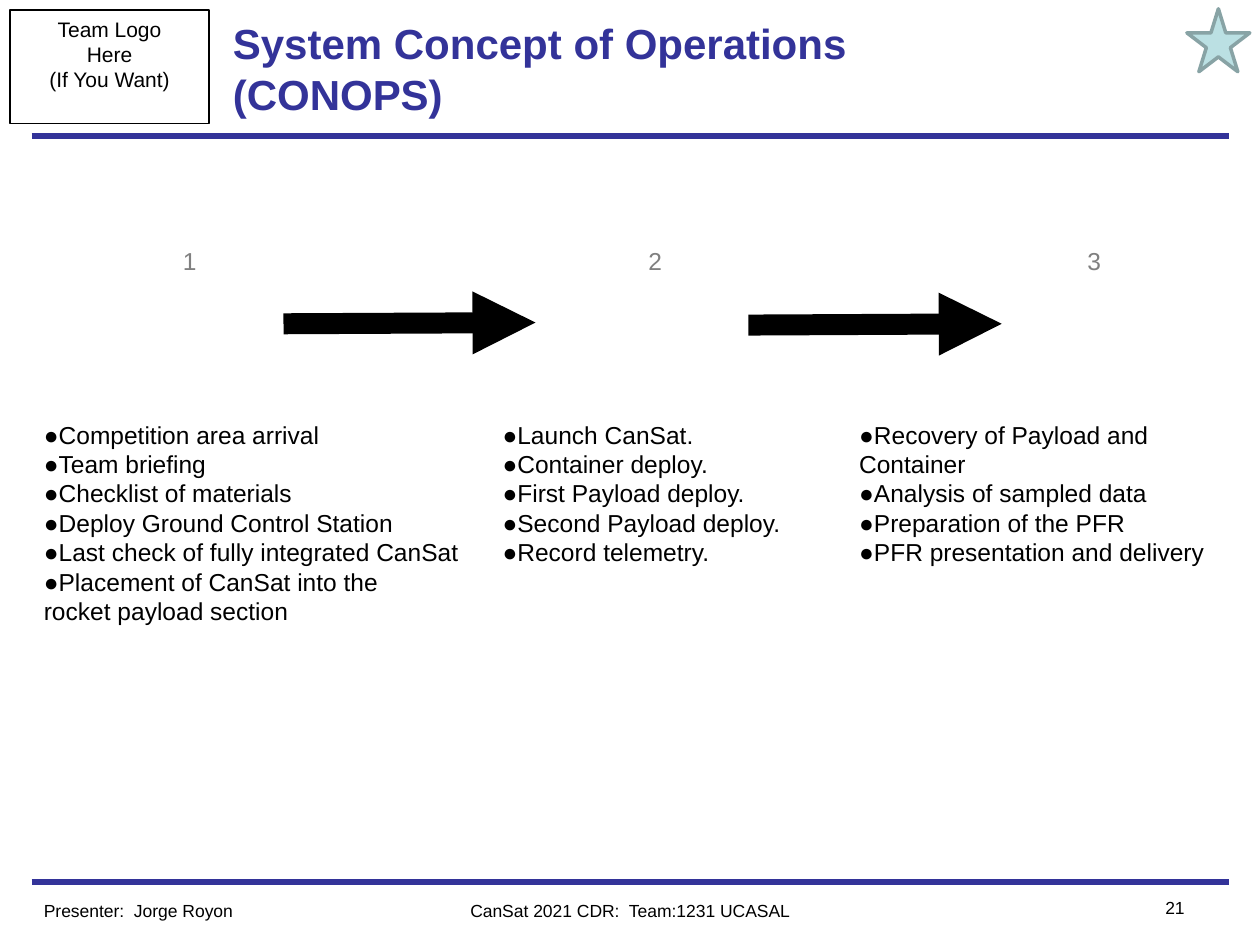
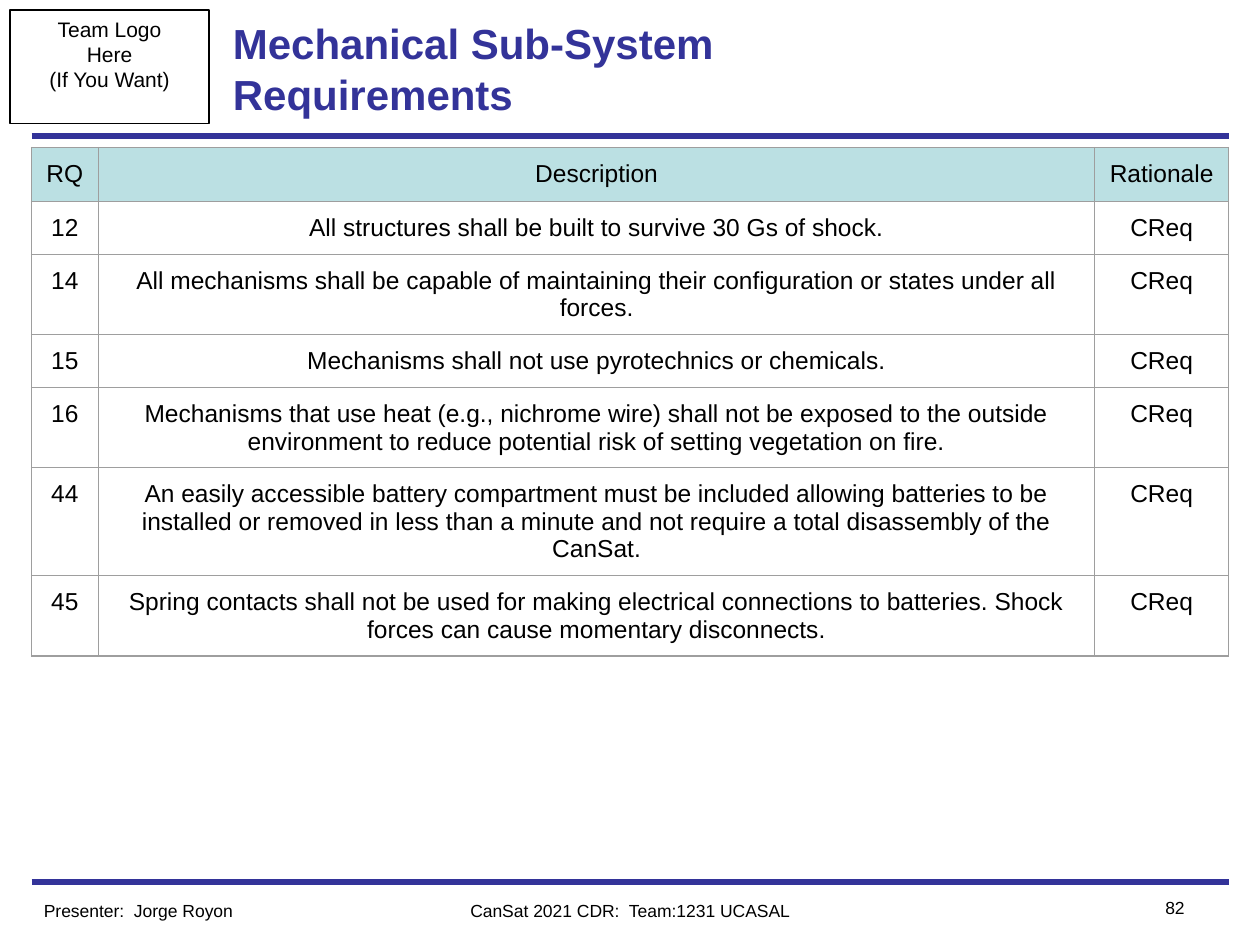
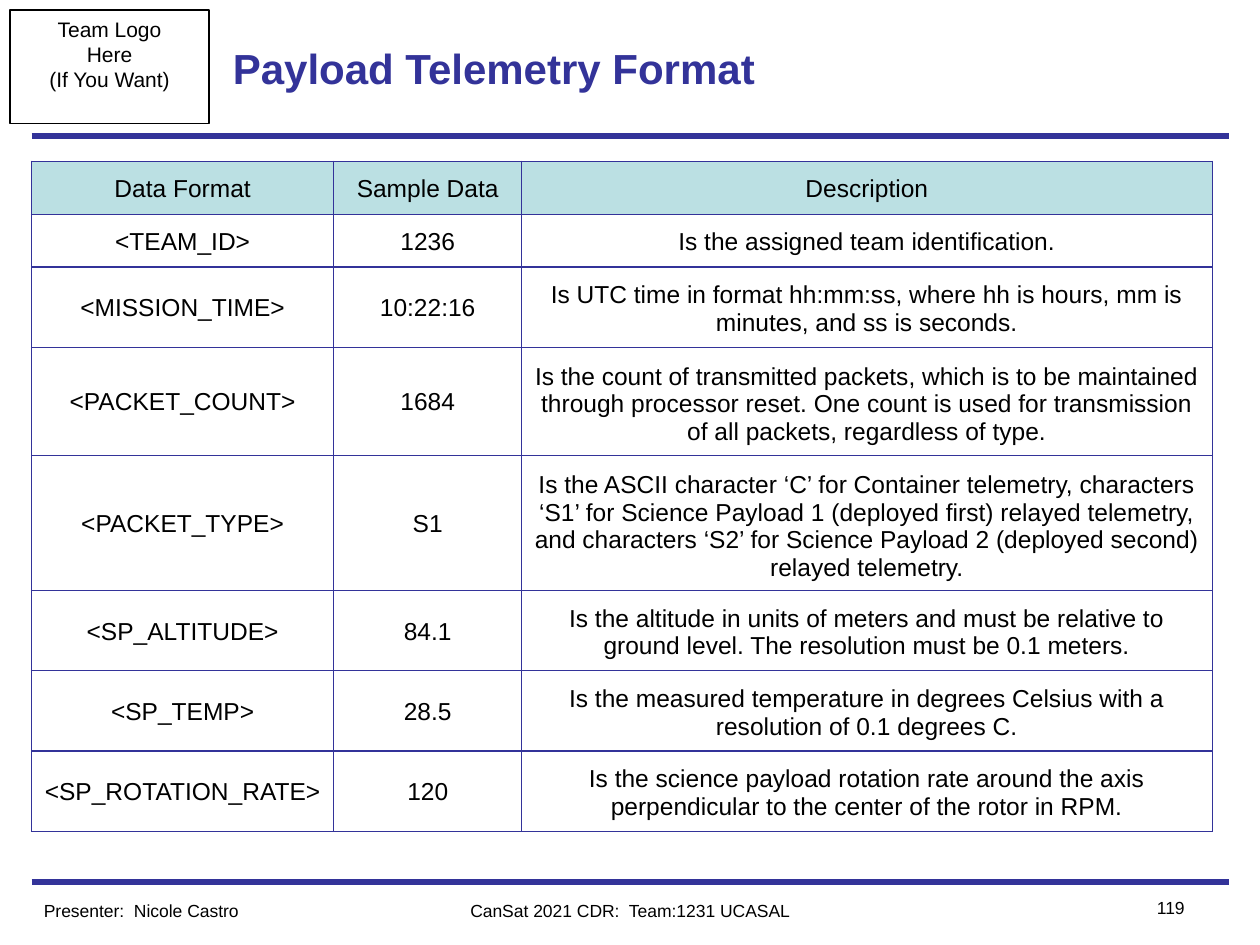
from math import ceil

from pptx import Presentation
from pptx.dml.color import RGBColor
from pptx.enum.shapes import MSO_CONNECTOR as Connector, MSO_SHAPE as Shape
from pptx.enum.text import MSO_ANCHOR as Anchor, PP_ALIGN as Align
from pptx.oxml.ns import qn
from pptx.util import Inches, Pt
from lxml.etree import SubElement

NAVY = RGBColor(0x33, 0x33, 0x99)
BLACK = RGBColor(0x00, 0x00, 0x00)
GRAY = RGBColor(0x80, 0x80, 0x80)
BORDER_GRAY = RGBColor(0x9E, 0x9E, 0x9E)
PALE_TEAL = RGBColor(0xBB, 0xE0, 0xE3)
DARK_TEAL = RGBColor(0x88, 0xA3, 0xA5)
FONT = "Arial"
MARGIN = 0.25
FOOTER_TOP = 7.09
ROW_HEIGHT = 0.42
CELL_INSET = 0.1
CHARS_PER_INCH = 11
LINE_SLACK = 0.015
TEAM = "CanSat 2021 CDR:  Team:1231 UCASAL"
LOGO_LINES = ["Team Logo", "Here", "(If You Want)"]

PHASES = [
    ((1.26, 0.49), (0.25, 3.64, 1.85), [
        "●Competition area arrival",
        "●Team briefing",
        "●Checklist of materials",
        "●Deploy Ground Control Station",
        "●Last check of fully integrated CanSat",
        "●Placement of CanSat into the",
        "rocket payload section",
    ]),
    ((4.76, 0.88), (3.89, 3.28, 1.38), [
        "●Launch CanSat.",
        "●Container deploy.",
        "●First Payload deploy.",
        "●Second Payload deploy.",
        "●Record telemetry.",
    ]),
    ((8.25, 0.87), (6.72, 3.28, 1.38), [
        "●Recovery of Payload and Container",
        "●Analysis of sampled data",
        "●Preparation of the PFR",
        "●PFR presentation and delivery",
    ]),
]

REQUIREMENTS = [
    ("12", "All structures shall be built to survive 30 Gs of shock."),
    ("14", "All mechanisms shall be capable of maintaining their configuration "
           "or states under all forces."),
    ("15", "Mechanisms shall not use pyrotechnics or chemicals."),
    ("16", "Mechanisms that use heat (e.g., nichrome wire) shall not be exposed "
           "to the outside environment to reduce potential risk of setting "
           "vegetation on fire."),
    ("44", "An easily accessible battery compartment must be included allowing "
           "batteries to be installed or removed in less than a minute and not "
           "require a total disassembly of the CanSat."),
    ("45", "Spring contacts shall not be used for making electrical connections "
           "to batteries. Shock forces can cause momentary disconnects."),
]

TELEMETRY = [
    ("Data Format", "Sample Data", "Description"),
    ("<TEAM_ID>", "1236", "Is the assigned team identification."),
    ("<MISSION_TIME>", "10:22:16",
     "Is UTC time in format hh:mm:ss, where hh is hours, mm is minutes, "
     "and ss is seconds."),
    ("<PACKET_COUNT>", "1684",
     "Is the count of transmitted packets, which is to be maintained through "
     "processor reset. One count is used for transmission of all packets, "
     "regardless of type."),
    ("<PACKET_TYPE>", "S1",
     "Is the ASCII character ‘C’ for Container telemetry, characters ‘S1’ for "
     "Science Payload 1 (deployed first) relayed telemetry, and characters ‘S2’ "
     "for Science Payload 2 (deployed second) relayed telemetry."),
    ("<SP_ALTITUDE>", "84.1",
     "Is the altitude in units of meters and must be relative to ground level. "
     "The resolution must be 0.1 meters."),
    ("<SP_TEMP>", "28.5",
     "Is the measured temperature in degrees Celsius with a resolution of "
     "0.1 degrees C."),
    ("<SP_ROTATION_RATE>", "120",
     "Is the science payload rotation rate around the axis perpendicular to the "
     "center of the rotor in RPM."),
]


def write_text(frame, lines, size=14, color=BLACK, bold=False, align=Align.LEFT):
    """Fill a text frame with one formatted paragraph per line."""
    for index, line in enumerate(lines):
        para = frame.paragraphs[0] if index == 0 else frame.add_paragraph()
        para.text = line
        para.alignment = align
        for span in para.runs:
            span.font.name = FONT
            span.font.size = Pt(size)
            span.font.bold = bold
            span.font.color.rgb = color


def add_text(page, lines, left, top, width, height, inset=0.05,
             anchor=Anchor.TOP, **style):
    """Add a wrapping text box with equal top and bottom insets."""
    box = page.shapes.add_textbox(
        Inches(left), Inches(top), Inches(width), Inches(height))
    frame = box.text_frame
    frame.word_wrap = True
    frame.margin_top = frame.margin_bottom = Inches(inset)
    frame.vertical_anchor = anchor
    write_text(frame, lines, **style)


def add_outlined_shape(page, kind, left, top, width, height, line, weight):
    """Add a preset shape with a coloured outline and no fill."""
    shape = page.shapes.add_shape(
        kind, Inches(left), Inches(top), Inches(width), Inches(height))
    shape.shadow.inherit = False
    shape.fill.background()
    shape.line.color.rgb = line
    shape.line.width = Pt(weight)
    return shape


def add_line(page, start, end, color, weight, arrow=False):
    """Draw a straight line, with an arrowhead at its end if asked."""
    line = page.shapes.add_connector(
        Connector.STRAIGHT, *(Inches(value) for value in (*start, *end)))
    line.line.color.rgb = color
    line.line.width = Pt(weight)
    if arrow:
        SubElement(line.line._get_or_add_ln(), qn("a:tailEnd"), type="triangle")
    SubElement(line._element.spPr, qn("a:effectLst"))


def set_borders(cell, color):
    """Draw a thin border on the four sides of a table cell."""
    properties = cell._tc.get_or_add_tcPr()
    for side in ("lnL", "lnR", "lnT", "lnB"):
        edge = SubElement(properties, qn(f"a:{side}"), w=str(Pt(0.75)))
        fill = SubElement(edge, qn("a:solidFill"))
        SubElement(fill, qn("a:srgbClr"), val=str(color))


def set_insets(cell, text, width):
    """Set the cell insets, with less below for each line the text needs."""
    line_count = ceil(len(text) / ((width - 2 * CELL_INSET) * CHARS_PER_INCH))
    cell.margin_left = cell.margin_right = cell.margin_top = Inches(CELL_INSET)
    cell.margin_bottom = Inches(CELL_INSET - LINE_SLACK * line_count)


def add_grid(page, rows, top, widths, border, anchor=Anchor.TOP,
             heading_height=ROW_HEIGHT):
    """Add a centred table with a tinted heading row."""
    heights = [heading_height] + [ROW_HEIGHT] * (len(rows) - 1)
    table = page.shapes.add_table(
        len(rows), len(widths), Inches(MARGIN), Inches(top),
        Inches(sum(widths)), Inches(sum(heights))).table
    table.first_row = table.horz_banding = False
    for column, width in zip(table.columns, widths):
        column.width = Inches(width)
    for row_index, texts in enumerate(rows):
        table.rows[row_index].height = Inches(heights[row_index])
        for column_index, text in enumerate(texts):
            cell = table.cell(row_index, column_index)
            set_borders(cell, border)
            if row_index == 0:
                cell.fill.solid()
                cell.fill.fore_color.rgb = PALE_TEAL
            else:
                cell.fill.background()
            set_insets(cell, text, widths[column_index])
            cell.vertical_anchor = anchor
            write_text(cell.text_frame, [text], align=Align.CENTER)


def add_page(deck, title, presenter, number):
    """Add a slide with the shared rules, logo frame, title and footer."""
    page = deck.slides.add_slide(deck.slide_layouts[6])
    for height in (7, 1.08):
        add_line(page, (MARGIN, height), (10 - MARGIN, height), NAVY, 3)
    logo = add_outlined_shape(
        page, Shape.RECTANGLE, 0.08, 0.08, 1.58, 0.9, BLACK, 0.75)
    logo.text_frame.vertical_anchor = Anchor.TOP
    write_text(logo.text_frame, LOGO_LINES, size=12, align=Align.CENTER)
    add_text(page, [title], 1.75, 0.08, 6.5, 0.92, anchor=Anchor.MIDDLE,
             size=24, color=NAVY, bold=True)
    add_text(page, [f"Presenter:  {presenter}"], MARGIN, FOOTER_TOP, 2.5, 0.27,
             size=10)
    add_text(page, [TEAM], 3, FOOTER_TOP, 4, 0.27, size=10, align=Align.CENTER)
    add_text(page, [str(number)], 8.75, 7.07, 0.75, 0.27, size=10,
             align=Align.RIGHT)
    return page


def build_operations(deck):
    """Build the three-phase concept of operations."""
    page = add_page(deck, "System Concept of Operations (CONOPS)",
                    "Jorge Royon", 21)
    star = add_outlined_shape(
        page, Shape.STAR_5_POINT, 9.42, 0.07, 0.5, 0.5, DARK_TEAL, 2)
    star.fill.solid()
    star.fill.fore_color.rgb = PALE_TEAL
    for number, (label, column, tasks) in enumerate(PHASES, start=1):
        label_left, label_width = label
        left, width, height = column
        add_text(page, [str(number)], label_left, 1.9, label_width, 1.33,
                 color=GRAY, align=Align.CENTER)
        add_text(page, tasks, left, 3.23, width, height, inset=0.1)
    for start, end in (((2.25, 2.57), (4.25, 2.56)), ((5.94, 2.58), (7.95, 2.57))):
        add_line(page, start, end, BLACK, 12, arrow=True)


def build_requirements(deck):
    """Build the mechanical requirements table."""
    page = add_page(deck, "Mechanical Sub-System \nRequirements",
                    "Jorge Royon", 82)
    rows = [("RQ", "Description", "Rationale")]
    rows += [(*requirement, "CReq") for requirement in REQUIREMENTS]
    add_grid(page, rows, 1.17, (0.53, 7.91, 1.06), BORDER_GRAY,
             heading_height=0.43)


def build_telemetry(deck):
    """Build the payload telemetry table."""
    page = add_page(deck, "Payload Telemetry Format", "Nicole Castro", 119)
    add_grid(page, TELEMETRY, 1.28, (2.4, 1.49, 5.48), NAVY, anchor=Anchor.MIDDLE)


def main():
    """Build the deck and save it."""
    deck = Presentation()
    deck.slide_width = Inches(10)
    deck.slide_height = Inches(7.5)
    build_operations(deck)
    build_requirements(deck)
    build_telemetry(deck)
    deck.save("out.pptx")


if __name__ == "__main__":
    main()
